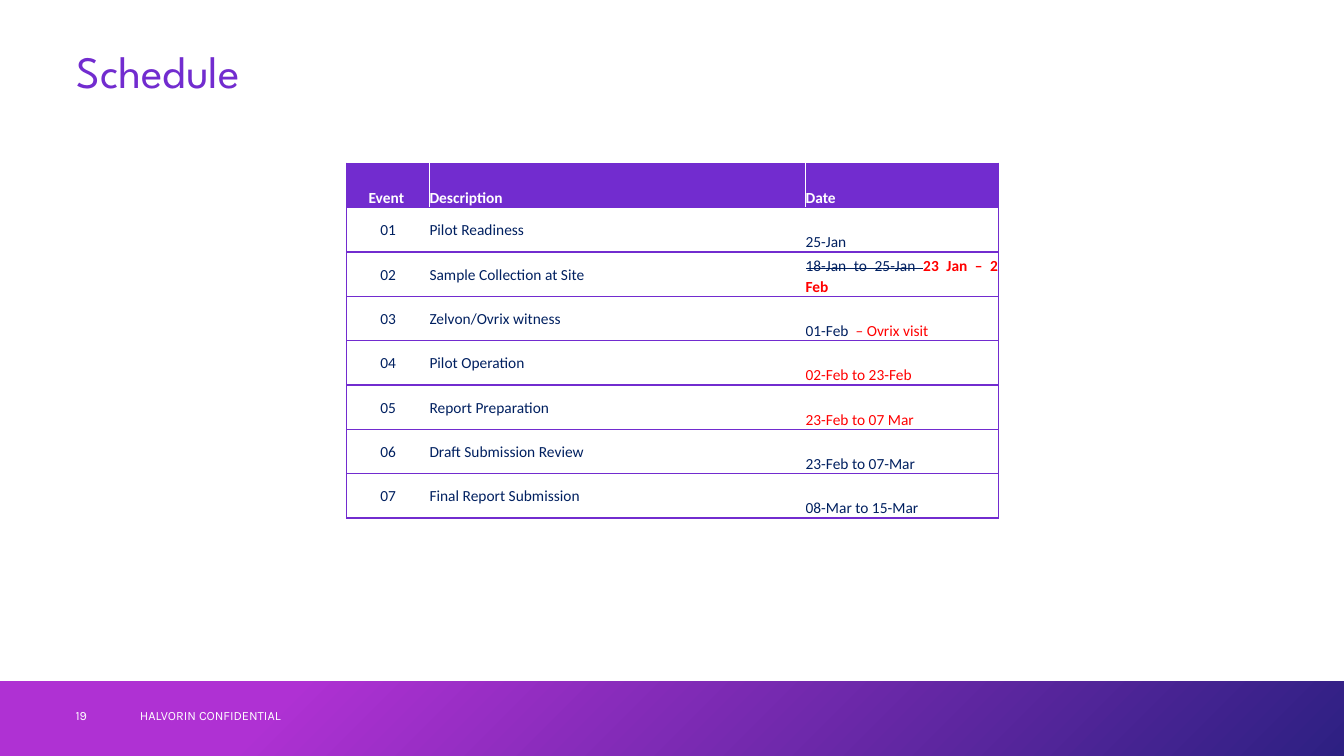
from lxml import etree
from pptx import Presentation
from pptx.dml.color import RGBColor
from pptx.enum.shapes import MSO_SHAPE
from pptx.enum.text import MSO_ANCHOR, PP_ALIGN
from pptx.oxml.ns import qn
from pptx.util import Inches, Pt

RECTANGLE = MSO_SHAPE.RECTANGLE
MIDDLE, BOTTOM = MSO_ANCHOR.MIDDLE, MSO_ANCHOR.BOTTOM
CENTER, JUSTIFY = PP_ALIGN.CENTER, PP_ALIGN.JUSTIFY
PURPLE, NAVY, RED, WHITE = "722CCF", "002060", "FF0000", "FFFFFF"


def color(value):
    return RGBColor.from_string(value)


def add_run(paragraph, text, font_name, size, font_color, bold=False):
    run = paragraph.add_run()
    run.text = text
    run.font.name = font_name
    run.font.size = Pt(size)
    run.font.bold = bold
    run.font.color.rgb = color(font_color)
    return run


presentation = Presentation()
presentation.slide_width = Inches(13.33)
presentation.slide_height = Inches(7.5)
slide = presentation.slides.add_slide(presentation.slide_layouts[6])

footer_band = slide.shapes.add_shape(
    RECTANGLE, 0, Inches(6.76), Inches(13.33), Inches(0.74))
footer_band.shadow.inherit = False
footer_band.line.fill.background()
footer_band.fill.gradient()
footer_band.fill.gradient_angle = 315
band_stops = [(0.21, "AF31D3"), (1, "2D2082")]
for stop, (position, stop_color) in zip(footer_band.fill.gradient_stops, band_stops):
    stop.position = position
    stop.color.rgb = color(stop_color)

labels = [
    ("Schedule", 0.76, 0.4, 11.81, 0.67, 0, "League Spartan", 32, PURPLE, 0.9),
    ("HALVORIN CONFIDENTIAL", 1.29, 6.9, 4.5, 0.4, 0.1, "Karla", 9, WHITE, 1.0),
    ("19", 0.75, 6.9, 0.54, 0.4, 0, "Karla", 9, WHITE, 1.0),
]
for text, left, top, width, height, inset, font_name, size, font_color, spacing in labels:
    label = slide.shapes.add_textbox(
        Inches(left), Inches(top), Inches(width), Inches(height))
    frame = label.text_frame
    frame.word_wrap = True
    frame.vertical_anchor = MIDDLE
    frame.margin_left = Inches(inset)
    paragraph = frame.paragraphs[0]
    paragraph.line_spacing = spacing
    add_run(paragraph, text, font_name, size, font_color)

events = [
    ("Pilot Readiness", [("25-Jan", NAVY)]),
    ("Sample Collection at Site", [("18-Jan to 25-Jan ", NAVY), ("23 Jan – 2 Feb ", RED)]),
    ("Zelvon/Ovrix witness", [("01-Feb ", NAVY), (" – Ovrix visit", RED)]),
    ("Pilot Operation", [("02-Feb to 23-Feb", RED)]),
    ("Report Preparation", [("23-Feb to 07 Mar", RED)]),
    ("Draft Submission Review", [("23-Feb to 07-Mar", NAVY)]),
    ("Final Report Submission", [("08-Mar to 15-Mar", NAVY)]),
]
rows = [[[(heading, WHITE)] for heading in ("Event ", "Description", "Date")]]
for number, (description, dates) in enumerate(events, 1):
    rows.append([[(f"{number:02}", NAVY)], [(description, NAVY)], dates])

column_widths = [0.82, 3.73, 1.91]
table = slide.shapes.add_table(
    len(rows), len(column_widths), Inches(3.44), Inches(1.62),
    Inches(6.46), Inches(3.52)).table
for column, width in zip(table.columns, column_widths):
    column.width = Inches(width)

for row_index, row in enumerate(rows):
    table.rows[row_index].height = Inches(0.44)
    for column_index, parts in enumerate(row):
        cell = table.cell(row_index, column_index)
        cell.margin_left = cell.margin_right = 0
        cell.margin_top = cell.margin_bottom = 0
        is_header = row_index == 0
        cell.vertical_anchor = BOTTOM if is_header or column_index == 2 else MIDDLE
        if is_header:
            cell.fill.solid()
            cell.fill.fore_color.rgb = color(PURPLE)
        else:
            cell.fill.background()

        paragraph = cell.text_frame.paragraphs[0]
        paragraph.alignment = CENTER if column_index == 0 else JUSTIFY
        paragraph.line_spacing = 1.07
        paragraph.space_after = Pt(8)
        for text, font_color in parts:
            replaces_date = row_index == 2 and font_color == RED
            run = add_run(paragraph, text, "Calibri", 11, font_color,
                          is_header or replaces_date)
            if text == "18-Jan to 25-Jan ":
                run.font._element.set("strike", "sngStrike")

        sides = [["lnL"], [], ["lnR"]][column_index] + ["lnT", "lnB"]
        properties = cell._tc.get_or_add_tcPr()
        for position, side in enumerate(sides):
            border = etree.Element(qn(f"a:{side}"), w=str(Pt(1)))
            fill = etree.SubElement(border, qn("a:solidFill"))
            etree.SubElement(fill, qn("a:srgbClr"), val=PURPLE)
            properties.insert(position, border)

presentation.save("out.pptx")
